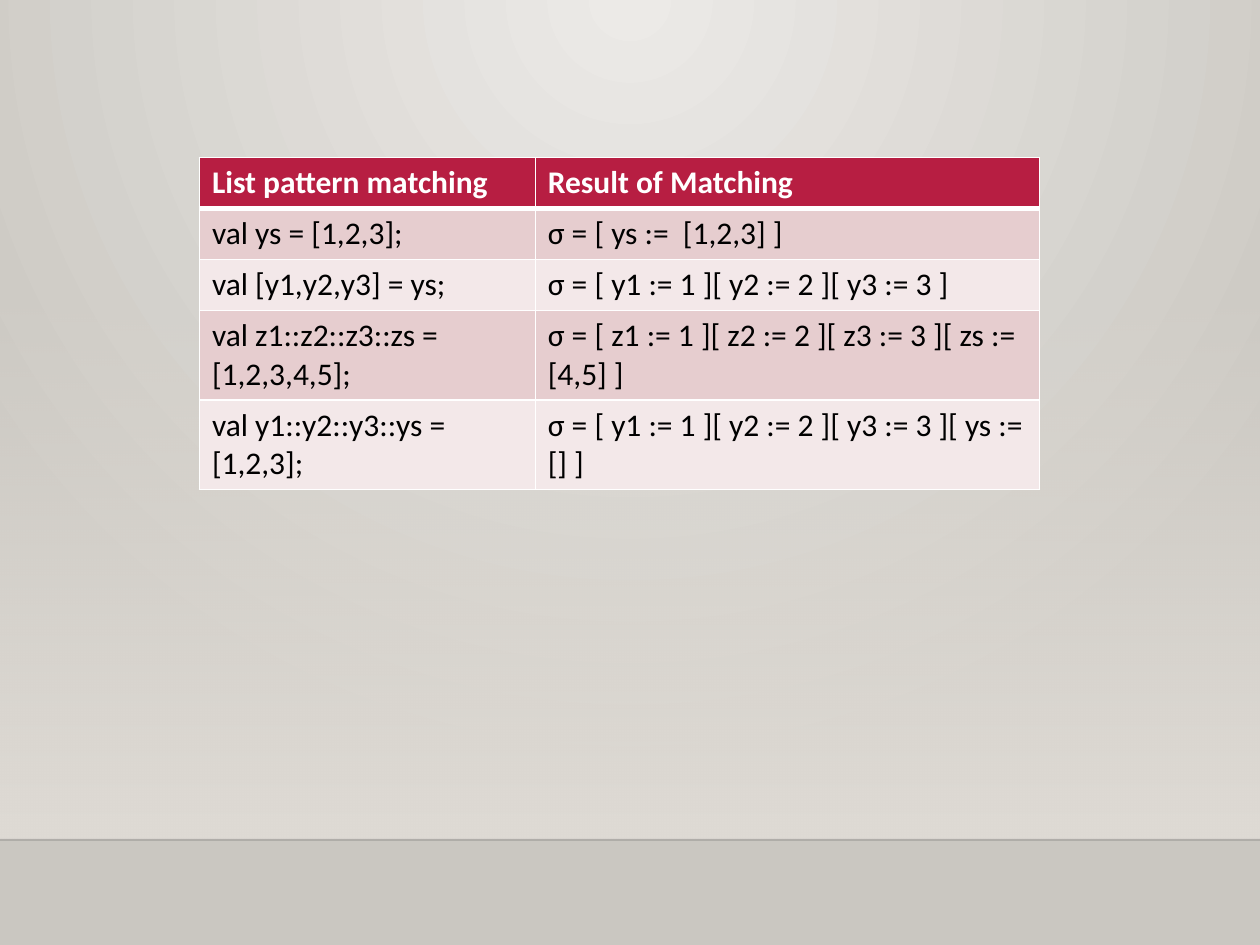
from lxml import etree
from pptx import Presentation
from pptx.dml.color import RGBColor
from pptx.enum.shapes import MSO_CONNECTOR as CONN, MSO_SHAPE as SHAPE
from pptx.oxml import parse_xml
from pptx.oxml.ns import nsdecls, qn
from pptx.util import Cm, Pt

# Content
ROWS = [
    ("List pattern matching", "Result of Matching"),
    ("val ys = [1,2,3];", "σ = [ ys :=  [1,2,3] ]"),
    ("val [y1,y2,y3] = ys;", "σ = [ y1 := 1 ][ y2 := 2 ][ y3 := 3 ]"),
    ("val z1::z2::z3::zs = [1,2,3,4,5];",
     "σ = [ z1 := 1 ][ z2 := 2 ][ z3 := 3 ][ zs := [4,5] ]"),
    ("val y1::y2::y3::ys = [1,2,3];",
     "σ = [ y1 := 1 ][ y2 := 2 ][ y3 := 3 ][ ys := [] ]"),
]
COL_WIDTHS = (6.77, 10.16)
ROW_HEIGHT = 1.03
HEADER, BANDS = "B71E42", ("E6CDCF", "F3E8E9")
WIDTH, HEIGHT = 25.4, 19.05
FLOOR_TOP = 16.93


def rgb(color):
    return RGBColor.from_string(color)


def gradient(stops, direction):
    """Gradient fill from (position %, colour, opacity %) stops."""
    gs = "".join(
        f'<a:gs pos="{pos * 1000}"><a:srgbClr val="{color}">'
        f'<a:alpha val="{opacity * 1000}"/></a:srgbClr></a:gs>'
        for pos, color, opacity in stops)
    return (f'<a:gradFill {nsdecls("a")} rotWithShape="1">'
            f'<a:gsLst>{gs}</a:gsLst>{direction}</a:gradFill>')


def set_borders(cell, top, bottom):
    tc_pr = cell._tc.get_or_add_tcPr()
    sides = (("lnL", 1), ("lnR", 1), ("lnT", top), ("lnB", bottom))
    for i, (tag, width) in enumerate(sides):
        tc_pr.insert(i, parse_xml(
            f'<a:{tag} {nsdecls("a")} w="{Pt(width)}"><a:solidFill>'
            f'<a:srgbClr val="FFFFFF"/></a:solidFill></a:{tag}>'))


prs = Presentation()
prs.slide_width, prs.slide_height = Cm(WIDTH), Cm(HEIGHT)
s = prs.slides.add_slide(prs.slide_layouts[6])

# Background: light glow from the top centre
glow = gradient(
    [(0, "ECEAE7", 100), (100, "CAC7C1", 100)],
    '<a:path path="circle">'
    '<a:fillToRect l="43000" t="0" r="43000" b="100000"/></a:path>')
s._element.cSld.insert(0, parse_xml(
    f'<p:bg {nsdecls("p", "a")}><p:bgPr>{glow}<a:effectLst/></p:bgPr></p:bg>'))

# Wall fading in towards the floor
wall_top = 5.59
wall = s.shapes.add_shape(SHAPE.RECTANGLE, 0, Cm(wall_top),
                          Cm(WIDTH), Cm(FLOOR_TOP - wall_top))
wall.shadow.inherit = False
wall.line.fill.background()
wall._element.spPr.find(qn("a:prstGeom")).addnext(parse_xml(gradient(
    [(0, "DFDBD5", 0), (100, "DFDBD5", 100)],
    '<a:lin ang="5400000" scaled="0"/>')))

# Floor line
edge = s.shapes.add_connector(CONN.STRAIGHT, 0, Cm(FLOOR_TOP),
                              Cm(WIDTH), Cm(FLOOR_TOP))
edge.line.color.rgb = rgb("000001")
edge.line.width = Pt(1)
sp_pr = edge._element.spPr
etree.SubElement(next(sp_pr.iter(qn("a:srgbClr"))), qn("a:alpha"), val="20000")
etree.SubElement(sp_pr, qn("a:effectLst"))

# Table
table = s.shapes.add_table(
    len(ROWS), len(COL_WIDTHS), Cm(4.02), Cm(3.17),
    Cm(sum(COL_WIDTHS)), Cm(ROW_HEIGHT * len(ROWS))).table
for col, width in zip(table.columns, COL_WIDTHS):
    col.width = Cm(width)
for i, texts in enumerate(ROWS):
    table.rows[i].height = Cm(ROW_HEIGHT)
    is_header = i == 0
    for j, text in enumerate(texts):
        cell = table.cell(i, j)
        cell.fill.solid()
        cell.fill.fore_color.rgb = rgb(HEADER if is_header else BANDS[(i - 1) % 2])
        set_borders(cell, top=3 if i == 1 else 1, bottom=3 if is_header else 1)
        p = cell.text_frame.paragraphs[0]
        p.text = text
        font = p.runs[0].font
        font.name, font.size, font.bold = "Calibri", Pt(18), is_header
        font.color.rgb = rgb("FFFFFF" if is_header else "000000")

prs.save("out.pptx")
